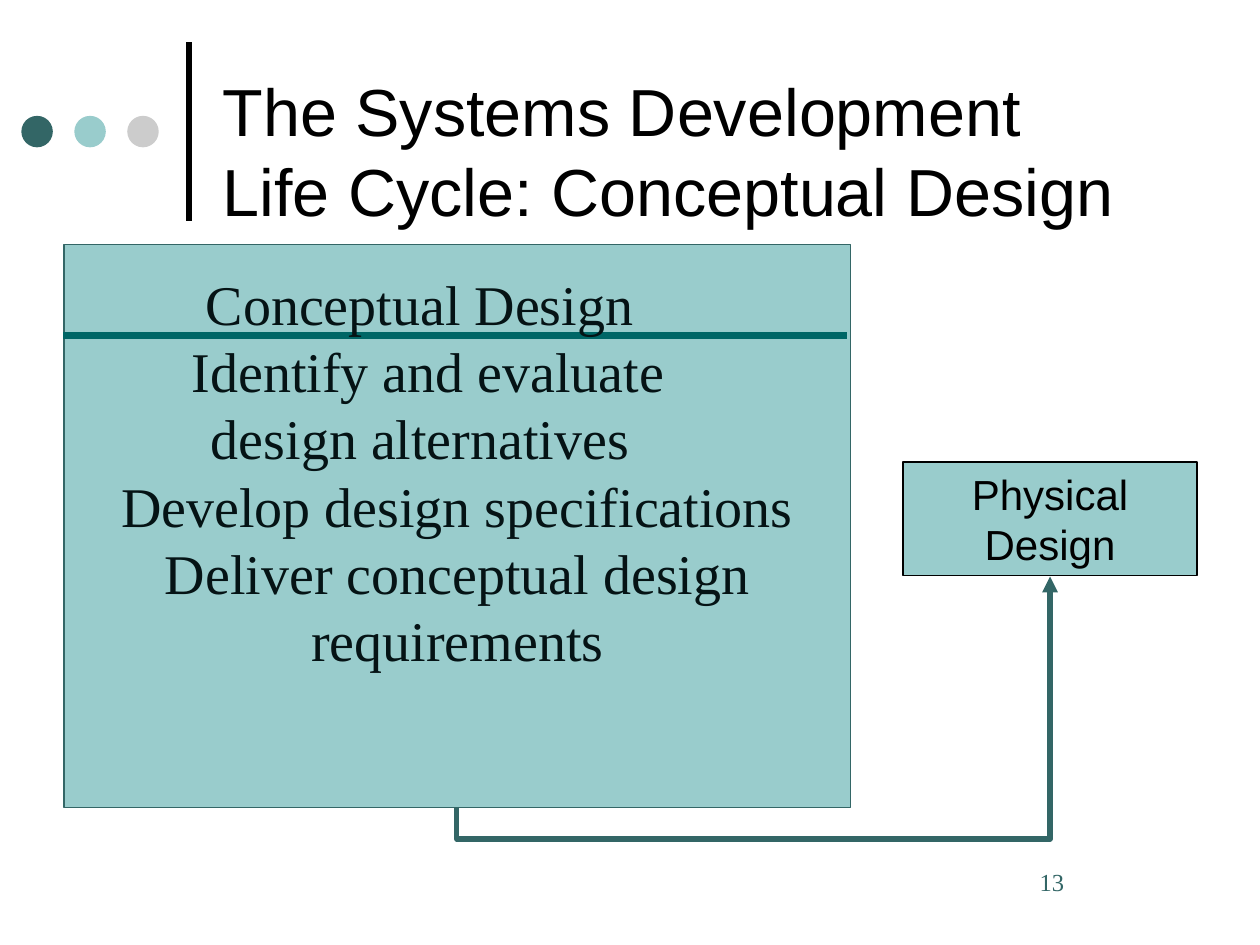
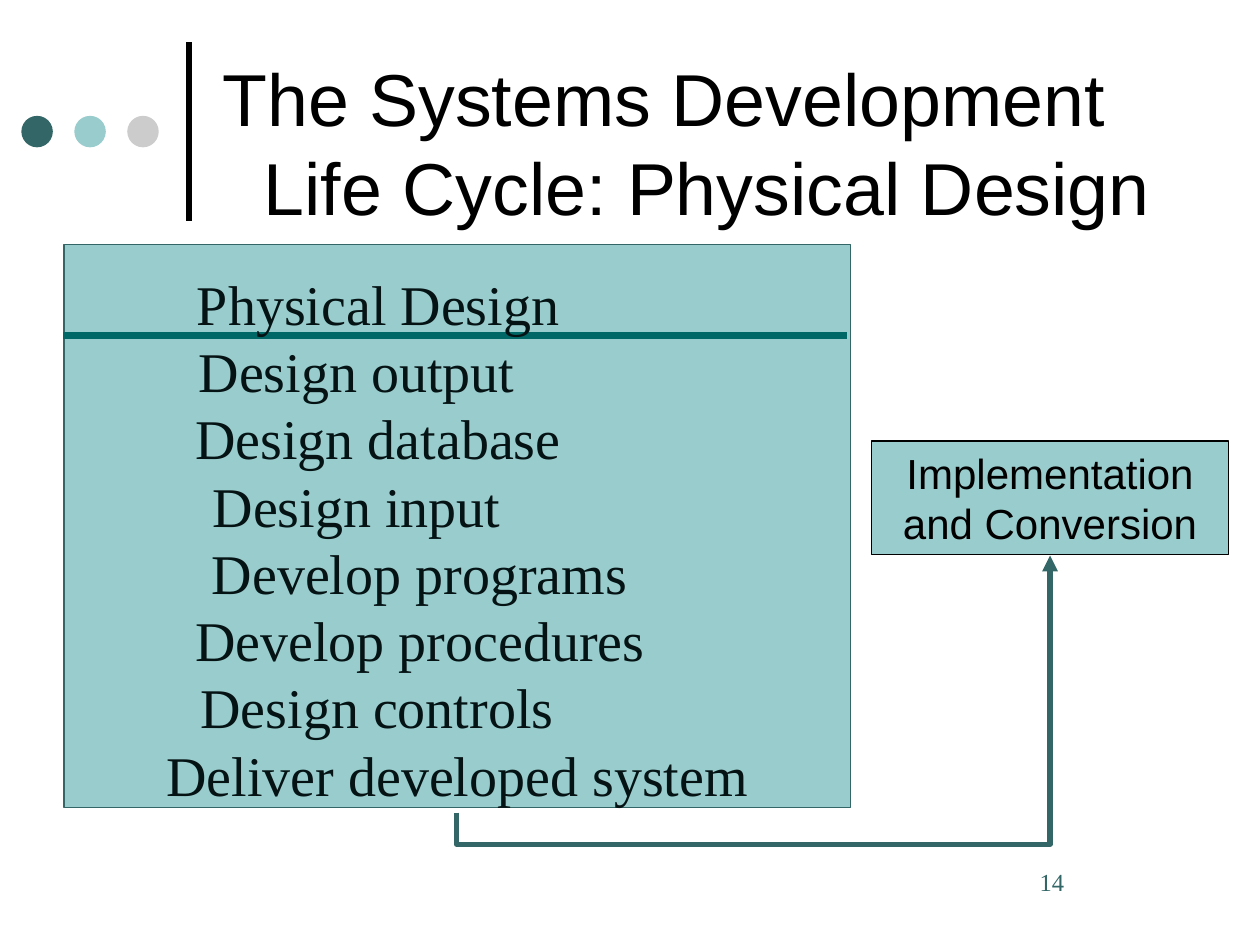
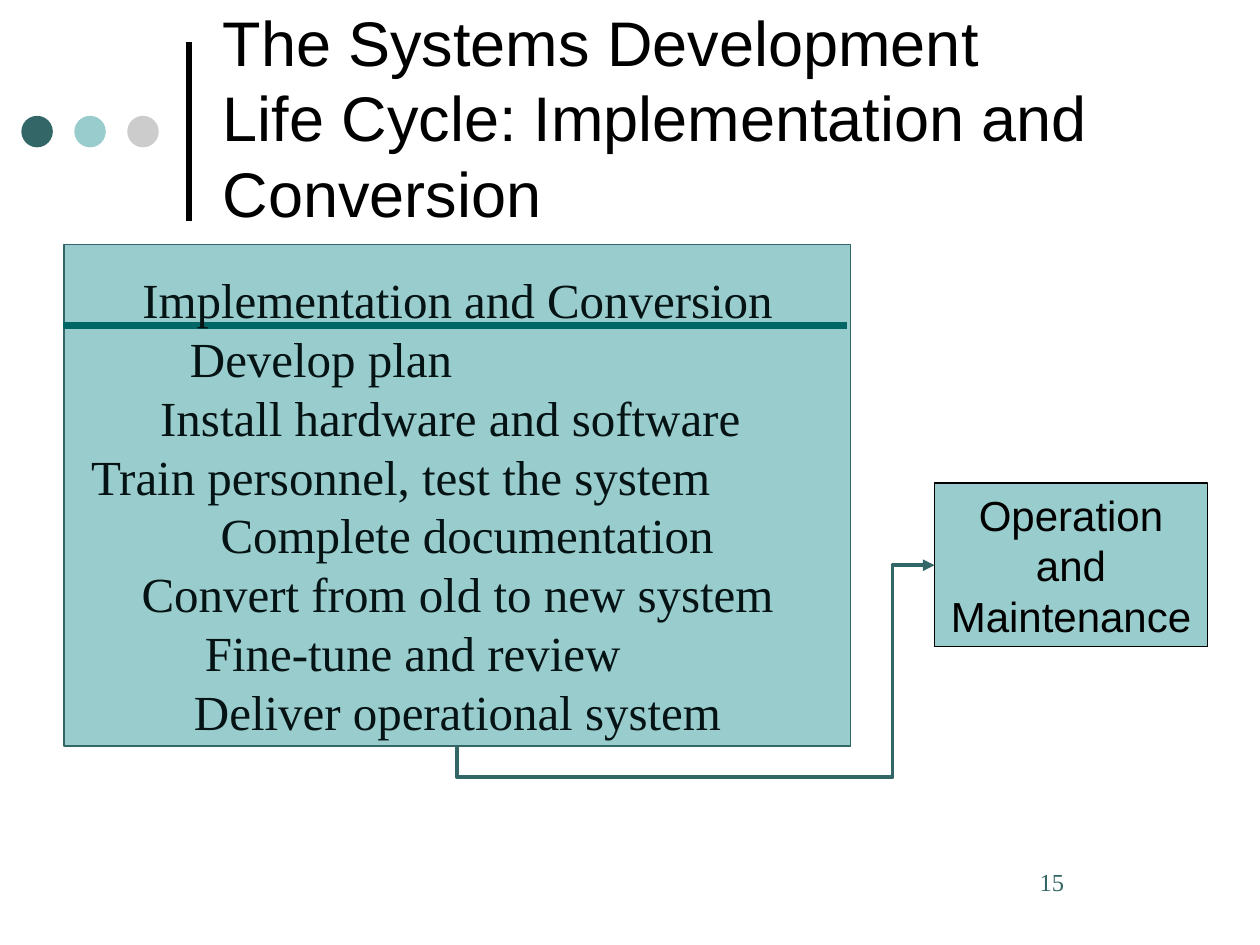
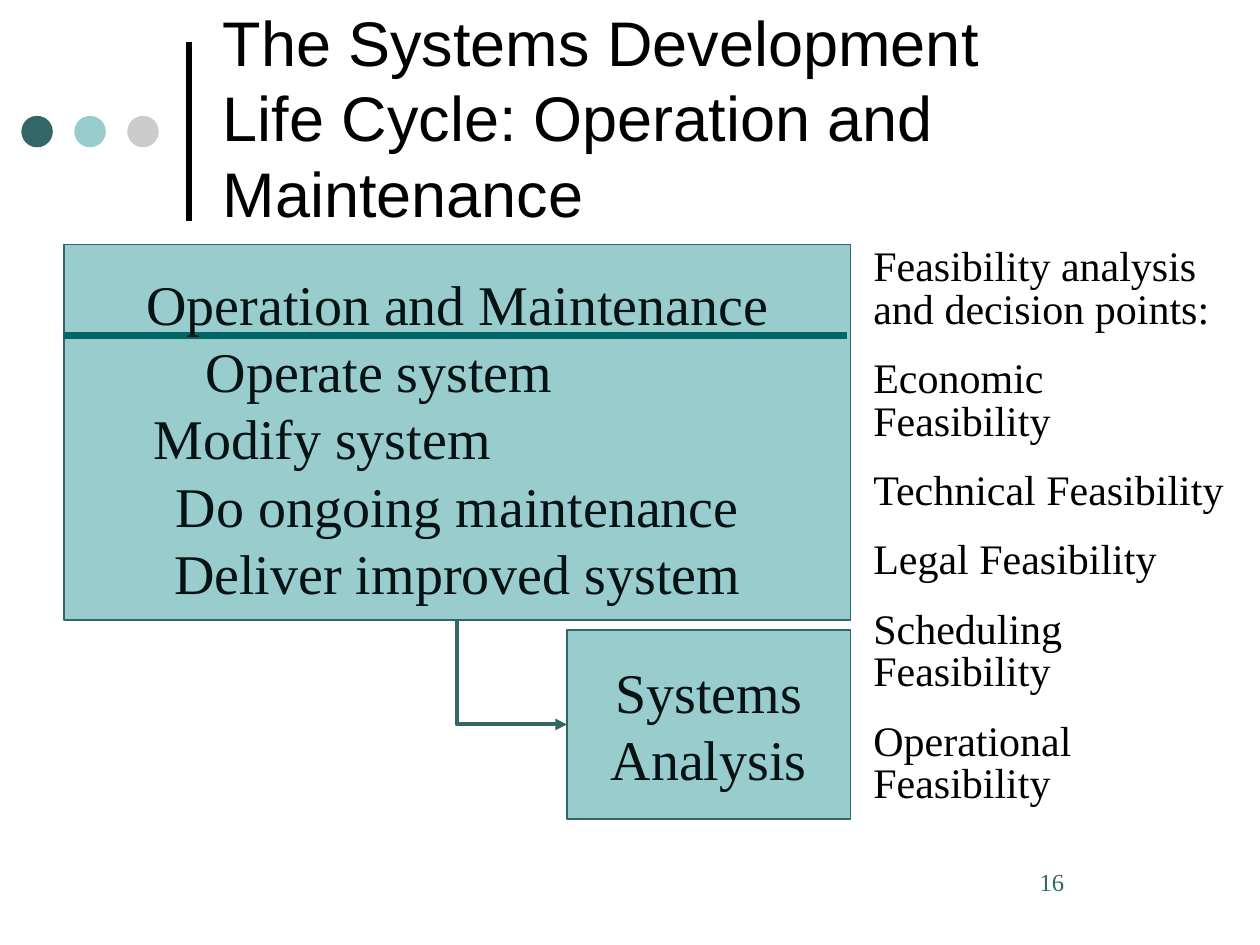
"""Builds four slides on the design and operation phases of the systems development life cycle."""
from dataclasses import dataclass

from pptx import Presentation
from pptx.dml.color import RGBColor
from pptx.enum.shapes import MSO_CONNECTOR, MSO_SHAPE
from pptx.enum.text import MSO_ANCHOR, MSO_AUTO_SIZE, PP_ALIGN
from pptx.oxml.ns import qn
from pptx.util import Pt
from lxml import etree

LEFT, CENTER = PP_ALIGN.LEFT, PP_ALIGN.CENTER
TOP, MIDDLE, BOTTOM = MSO_ANCHOR.TOP, MSO_ANCHOR.MIDDLE, MSO_ANCHOR.BOTTOM
RECTANGLE, OVAL = MSO_SHAPE.RECTANGLE, MSO_SHAPE.OVAL
STRAIGHT, ELBOW = MSO_CONNECTOR.STRAIGHT, MSO_CONNECTOR.ELBOW
NO_FIT = MSO_AUTO_SIZE.NONE


@dataclass(frozen=True)
class Theme:
    dark: str = "336666"
    light: str = "99CCCC"
    gray: str = "CCCCCC"
    rule: str = "006666"
    ink: str = "051315"
    black: str = "000000"
    sans: str = "Arial"
    serif: str = "Times New Roman"
    large: int = 32
    medium: int = 28
    label: int = 24
    number: int = 14


THEME = Theme()
TITLE_START = "The Systems Development"
TITLE_AREA = (120, 15, 552, 120)
PANEL_LEFT, PANEL_TOP, PANEL_WIDTH = 36.7, 139.7, 449.3
TEXT_TOP = 150.5
NUMBER_AREA = (570, 492, 102, 36)
FEASIBILITY_AREA = (492, 138, 216, 351)
CONNECTOR_DROP = 18
FIRST_NUMBER = 13

FEASIBILITY = [
    "Feasibility analysis and decision points:",
    "Economic Feasibility",
    "Technical Feasibility",
    "Legal Feasibility",
    "Scheduling Feasibility",
    "Operational Feasibility",
]

# Each step holds its text and its left indent; None centres the line.
PHASES = [
    {
        "title": "Life Cycle: Conceptual Design", "title_size": 38, "title_indent": 0,
        "steps": [
            ("Conceptual Design", 50),
            ("Identify and evaluate", 42),
            ("design alternatives", 53),
            ("Develop design specifications", None),
            ("Deliver conceptual design requirements", None),
        ],
        "step_size": THEME.large, "text_left": 60.5, "text_width": 402,
        "panel_height": 321.8, "rule_y": 192,
        "next": ["Physical Design"], "next_area": (516, 264, 168, 65),
        "next_font": (THEME.sans, THEME.label, THEME.black), "next_line": (THEME.black, 0.75),
        "route": {"start": (261, 461.5), "end": (600, 329.5), "width": 3},
    },
    {
        "title": "Life Cycle: Physical Design", "title_size": 42, "title_indent": 23.5,
        "steps": [
            ("Physical Design", 45),
            ("Design output", 46),
            ("Design database", 44),
            ("Design input", 54),
            ("Develop programs", 53.5),
            ("Develop procedures", 44),
            ("Design controls", 47),
            ("Deliver developed system", None),
        ],
        "step_size": THEME.large, "text_left": 60.5, "text_width": 402,
        "panel_height": 321.8, "rule_y": 192,
        "next": ["Implementation and Conversion"], "next_area": (498, 252, 204, 65),
        "next_font": (THEME.sans, THEME.label, THEME.black), "next_line": (THEME.black, 0.75),
        "route": {"start": (261, 464.4), "end": (600, 317.5), "width": 3},
    },
    {
        "title": "Life Cycle: Implementation and Conversion", "title_size": 36, "title_indent": 0,
        "steps": [
            ("Implementation and Conversion", None),
            ("Develop plan", 59),
            ("Install hardware and software", 42),
            ("Train personnel, test the system", 2.5),
            ("Complete documentation", 76.5),
            ("Convert from old to new system", None),
            ("Fine-tune and review", 67.5),
            ("Deliver operational system", None),
        ],
        "step_size": THEME.medium, "text_left": 42.5, "text_width": 438,
        "panel_height": 286.5, "rule_y": 186,
        "next": ["Operation and Maintenance"], "next_area": (534, 276, 156, 93.6),
        "next_font": (THEME.sans, THEME.label, THEME.black), "next_line": (THEME.black, 0.75),
        "route": {"start": (261, 426.2), "end": (534, 323), "width": 2.25, "turn_x": 510},
    },
    {
        "title": "Life Cycle: Operation and Maintenance", "title_size": 36, "title_indent": 0,
        "steps": [
            ("Operation and Maintenance", None),
            ("Operate system", 50),
            ("Modify system", 20),
            ("Do ongoing maintenance", None),
            ("Deliver improved system", None),
        ],
        "step_size": THEME.large, "text_left": 60.5, "text_width": 402,
        "panel_height": 214.5, "rule_y": 192,
        "next": ["Systems", "Analysis"], "next_area": (324, 360, 162, 108),
        "next_font": (THEME.serif, THEME.large, THEME.ink), "next_line": (THEME.dark, 1),
        "route": {"start": (261, 354.2), "end": (324, 414), "width": 2.25},
        "notes": FEASIBILITY,
    },
]


def points(values):
    return [Pt(value) for value in values]


def color(value):
    return RGBColor.from_string(value)


def write(frame, lines, font, anchor=TOP):
    """Write (text, indent) lines, centring those whose indent is None."""
    name, size, ink = font
    frame.word_wrap = True
    frame.auto_size = NO_FIT
    frame.vertical_anchor = anchor
    for index, (text, indent) in enumerate(lines):
        para = frame.paragraphs[0] if index == 0 else frame.add_paragraph()
        para.alignment = CENTER if indent is None else LEFT
        if indent:
            properties = para._p.get_or_add_pPr()
            properties.set("marL", str(Pt(indent)))
            properties.set("indent", "0")
        span = para.add_run()
        span.text = text
        span.font.name = name
        span.font.size = Pt(size)
        span.font.color.rgb = color(ink)


def add_text(page, area, lines, font):
    box = page.shapes.add_textbox(*points(area))
    write(box.text_frame, lines, font)
    return box


def add_block(page, kind, area, fill, line=None):
    block = page.shapes.add_shape(kind, *points(area))
    block.shadow.inherit = False
    block.fill.solid()
    block.fill.fore_color.rgb = color(fill)
    if line:
        block.line.color.rgb = color(line[0])
        block.line.width = Pt(line[1])
    else:
        block.line.fill.background()
    return block


def add_line(page, kind, start, end, ink, width):
    line = page.shapes.add_connector(kind, *points(start + end))
    line.line.color.rgb = color(ink)
    line.line.width = Pt(width)
    etree.SubElement(line.element.spPr, qn("a:effectLst"))
    return line


def add_route(page, start, end, width, turn_x=None):
    """Draw an elbow arrow that leaves the panel downwards."""
    (start_x, start_y), (end_x, end_y) = start, end
    across, rise = end_x - start_x, start_y - end_y
    length = abs(rise)
    left = (start_x + end_x - length) / 2
    top = (start_y + end_y - across) / 2
    arrow = add_line(page, ELBOW, (left, top), (left + length, top + across), THEME.dark, width)
    etree.SubElement(arrow.line._get_or_add_ln(), qn("a:tailEnd"), type="triangle")

    goes_up = rise > 0
    frame = arrow.element.spPr.find(qn("a:xfrm"))
    frame.set("rot", str((90 if goes_up else 270) * 60000))
    frame.set("flipH", "1")
    if goes_up:
        frame.set("flipV", "1")
    bends = [-CONNECTOR_DROP / length] if goes_up else []
    if turn_x:
        bends.append((turn_x - start_x) / across)
    geometry = arrow.element.spPr.find(qn("a:prstGeom"))
    geometry.set("prst", f"bentConnector{len(bends) + 2}")
    guides = geometry.find(qn("a:avLst"))
    if guides is None:
        guides = etree.SubElement(geometry, qn("a:avLst"))
    for index, bend in enumerate(bends, 1):
        etree.SubElement(guides, qn("a:gd"), name=f"adj{index}", fmla=f"val {round(bend * 100000)}")


def decorate_master(deck, page):
    """Draw the shared bar and dots, then move them to the slide master."""
    marks = [add_line(page, STRAIGHT, (108, 126), (108, 24), THEME.black, 3)]
    for index, fill in enumerate((THEME.dark, THEME.light, THEME.gray)):
        marks.append(add_block(page, OVAL, (12.2 + 30.25 * index, 66.2, 18, 18), fill))
    for index, mark in enumerate(marks):
        mark.element.xpath(".//p:cNvPr")[0].set("id", str(100 + index))
        deck.slide_master.shapes.element.append(mark.element)


def add_title(page, phase):
    title = page.shapes.title
    title.left, title.top, title.width, title.height = points(TITLE_AREA)
    lines = [(TITLE_START, 0), (phase["title"], phase["title_indent"])]
    write(title.text_frame, lines, (THEME.sans, phase["title_size"], THEME.black), BOTTOM)


def add_panel(page, phase):
    height, rule_y = phase["panel_height"], phase["rule_y"]
    add_block(page, RECTANGLE, (PANEL_LEFT, PANEL_TOP, PANEL_WIDTH, height),
              THEME.light, (THEME.dark, 1))
    add_line(page, STRAIGHT, (36, rule_y), (484, rule_y), THEME.rule, 4)
    area = (phase["text_left"], TEXT_TOP, phase["text_width"], PANEL_TOP + height - TEXT_TOP)
    add_text(page, area, phase["steps"], (THEME.serif, phase["step_size"], THEME.ink))


def add_next_phase(page, phase):
    block = add_block(page, RECTANGLE, phase["next_area"], THEME.light, phase["next_line"])
    write(block.text_frame, [(text, None) for text in phase["next"]], phase["next_font"], MIDDLE)
    add_route(page, **phase["route"])


def add_notes(page, notes):
    box = add_text(page, FEASIBILITY_AREA, [(text, 0) for text in notes],
                   (THEME.serif, THEME.label, THEME.black))
    for para in box.text_frame.paragraphs:
        para.line_spacing = 0.85
        para.space_before = Pt(15)


def main():
    deck = Presentation()
    deck.slide_width, deck.slide_height = Pt(720), Pt(540)
    layout = deck.slide_layouts.get_by_name("Title Only")
    for index, phase in enumerate(PHASES):
        page = deck.slides.add_slide(layout)
        if index == 0:
            decorate_master(deck, page)
        add_title(page, phase)
        add_panel(page, phase)
        add_next_phase(page, phase)
        if "notes" in phase:
            add_notes(page, phase["notes"])
        add_text(page, NUMBER_AREA, [(str(FIRST_NUMBER + index), 17)],
                 (THEME.serif, THEME.number, THEME.dark))
    deck.save("out.pptx")


if __name__ == "__main__":
    main()
